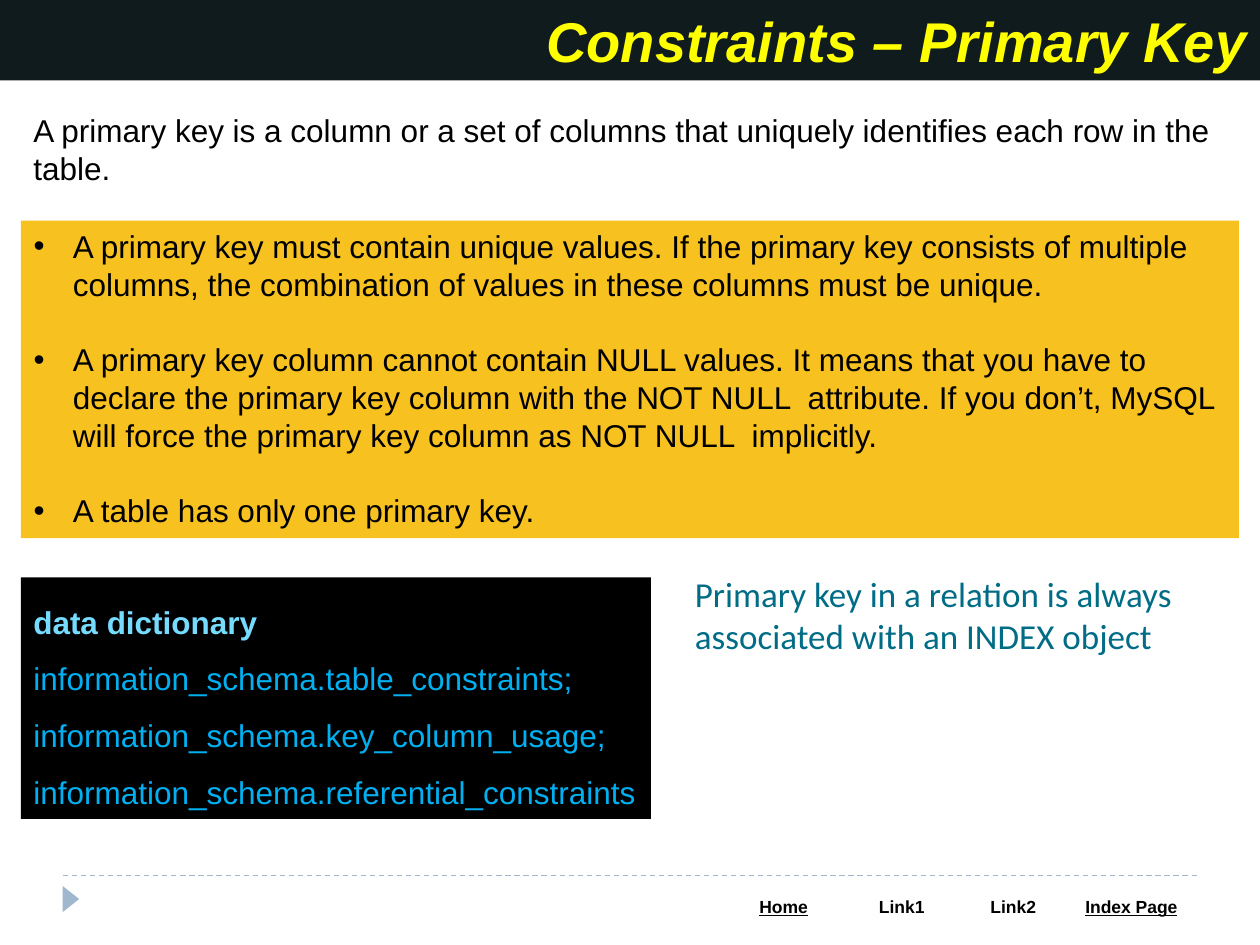
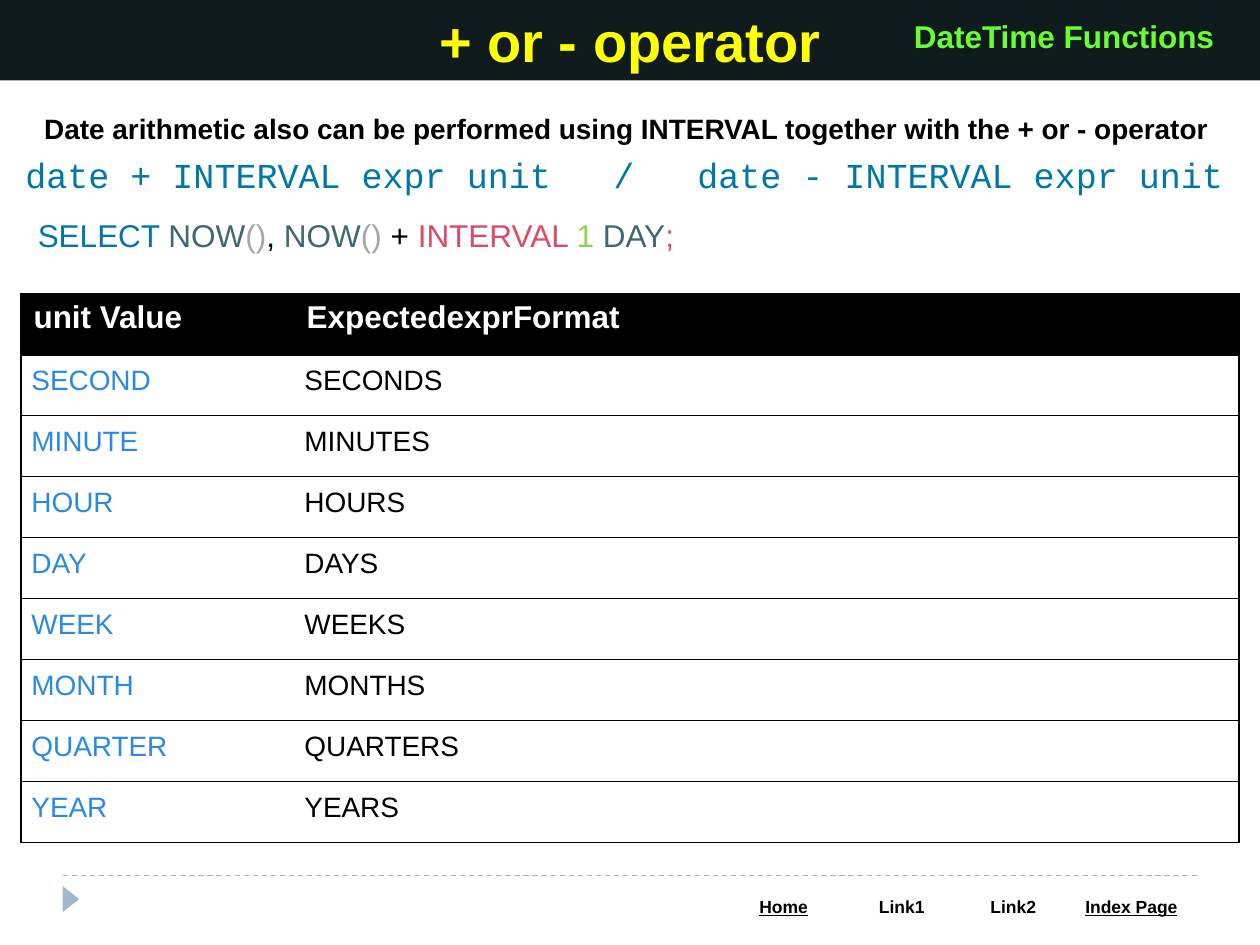
from pptx import Presentation
from pptx import util as u
from pptx.dml.color import RGBColor
from pptx.enum import dml, shapes, text
from pptx.oxml import parse_xml
from pptx.oxml.ns import nsdecls

Pt = u.Pt
LEFT, MID, RIGHT = text.PP_ALIGN.LEFT, text.PP_ALIGN.CENTER, text.PP_ALIGN.RIGHT
TOP, HALF = text.MSO_ANCHOR.TOP, text.MSO_ANCHOR.MIDDLE
PLAIN = "{2D5ABB26-0587-4C30-8999-92F81FD0307C}"
BLACK, WHITE, BAND, GOLD = "000000", "FFFFFF", "101B1D", "F7C120"
YELLOW, GREEN, STEEL = "FFFF00", "66FF33", "9FB8CD"
TEAL, SKY, PALE = "006C86", "00B0F0", "75DBFF"
BLUE, SLATE, GREY, RED, LIME = "0077AA", "3F6971", "A6A6A6", "DD4A68", "92D050"
UNIT = "298AE5"
EDGE, WIDE = 12, 696


def color(code):
    return RGBColor.from_string(code)


def node(tag, attrs="", inner=""):
    return parse_xml(f"<a:{tag} {nsdecls('a')} {attrs}>{inner}</a:{tag}>")


class Deck:
    def __init__(self):
        self.file = Presentation()
        self.file.slide_width, self.file.slide_height = Pt(720), Pt(540)
        self.slide = None

    def page(self, layout, title, align, italic=False):
        self.slide = self.file.slides.add_slide(self.file.slide_layouts[layout])
        band = self.slide.shapes.title
        self.place(band, 0, 0, 720, 46, BAND)
        self.words(band.text_frame, [[(title, YELLOW)]], size=32, bold=True,
                   italic=italic, align=align)
        self.footer()

    def place(self, shape, left, top, width, height, fill=None):
        shape.left, shape.top = Pt(left), Pt(top)
        shape.width, shape.height = Pt(width), Pt(height)
        if fill:
            shape.fill.solid()
            shape.fill.fore_color.rgb = color(fill)

    def words(self, frame, lines, size=18, face="Arial", bold=False, italic=False,
              align=LEFT, anchor=TOP, space=None, gap=0, bullet=False, tabs=()):
        frame.word_wrap = True
        frame.auto_size = text.MSO_AUTO_SIZE.NONE
        frame.vertical_anchor = anchor
        for i, runs in enumerate(lines):
            para = frame.add_paragraph() if i else frame.paragraphs[0]
            props = para._p.get_or_add_pPr()
            if bullet:
                props.set("marL", str(Pt(22.5)))
                props.set("indent", str(Pt(-22.5)))
                props.append(node("buFont", 'typeface="Arial"'))
                props.append(node("buChar", 'char="•"'))
            if tabs:
                stops = "".join(f'<a:tab pos="{Pt(t)}" algn="l"/>' for t in tabs)
                props.append(node("tabLst", inner=stops))
            para.alignment = align
            para.space_before = Pt(gap if i else 0)
            if space:
                para.line_spacing = space
            for label, tint, *rest in runs:
                run = para.add_run()
                run.text = label
                font = run.font
                font.name, font.size, font.italic = face, Pt(size), italic
                font.bold = rest[0] if rest else bold
                font.color.rgb = color(tint)

    def label(self, box, lines, **style):
        shape = self.slide.shapes.add_textbox(*map(Pt, box))
        self.words(shape.text_frame, lines, **style)

    def panel(self, box, fill, lines=(), kind=shapes.MSO_SHAPE.RECTANGLE,
              inset=(7.2, 3.6, 7.2, 3.6), **style):
        shape = self.slide.shapes.add_shape(kind, *map(Pt, box))
        shape.shadow.inherit = False
        shape.line.fill.background()
        self.place(shape, *box, fill)
        if lines:
            self.pad(shape.text_frame, inset)
            self.words(shape.text_frame, lines, **style)
        return shape

    def pad(self, part, inset):
        sides = map(Pt, inset)
        part.margin_left, part.margin_top, part.margin_right, part.margin_bottom = sides

    def list(self, box, fill, items, **style):
        body = self.slide.placeholders[1]
        self.place(body, *box, fill)
        self.words(body.text_frame, [[(item, BLACK)] for item in items],
                   bullet=True, **style)

    def rule(self, left, right, top):
        line = self.slide.shapes.add_connector(
            shapes.MSO_CONNECTOR.STRAIGHT, Pt(left), Pt(top), Pt(right), Pt(top))
        line.line.color.rgb = color(STEEL)
        line.line.width = Pt(0.75)
        line.line.dash_style = dml.MSO_LINE.DASH
        line._element.spPr.append(node("effectLst"))

    def grid(self, box, cols, rows):
        table = self.slide.shapes.add_table(rows, len(cols), *map(Pt, box)).table
        table._tbl.tblPr.find("{*}tableStyleId").text = PLAIN
        table.first_row = table.horz_banding = False
        for col, width in zip(table.columns, cols):
            col.width = Pt(width)
        for row in table.rows:
            row.height = Pt(box[3] / rows)
        return table

    def cell(self, cell, label, tint, fill, sides="", inset=None, **style):
        if inset:
            self.pad(cell, inset)
        self.words(cell.text_frame, [[(label, tint)]], **style)
        props = cell._tc.get_or_add_tcPr()
        ink = f'<a:solidFill><a:srgbClr val="{BLACK}"/></a:solidFill>'
        for side in sides:
            props.append(node(f"ln{side}", f'w="{Pt(0.75)}"', ink))
        cell.fill.solid()
        cell.fill.fore_color.rgb = color(fill)

    def footer(self):
        mark = self.panel((33, 509, 15, 9.5), STEEL,
                          kind=shapes.MSO_SHAPE.ISOSCELES_TRIANGLE)
        mark.rotation = 90
        self.rule(36, 684, 500.25)
        links = self.grid((414, 509.5, 270, 19.5), (67.5, 67.5, 60, 75), 1)
        for i, name in enumerate(("Home", "Link1", "Link2", "Index Page")):
            cell = links.cell(0, i)
            self.cell(cell, name, BLACK, WHITE, size=10, bold=True, align=MID)
            cell.text_frame.paragraphs[0].runs[0].font.underline = i in (0, 3)


def keys(deck):
    deck.page(1, "Constraints – Primary Key", RIGHT, italic=True)
    deck.list((EDGE, 126, WIDE, 181.5), GOLD, (
        "A primary key must contain unique values. If the primary key consists of "
        "multiple columns, the combination of values in these columns must be unique.",
        "A primary key column cannot contain NULL values. It means that you have to "
        "declare the primary key column with the NOT NULL  attribute. If you don’t, "
        "MySQL will force the primary key column as NOT NULL  implicitly.",
        "A table has only one primary key."), gap=21.6)
    deck.label((EDGE, 60, WIDE, 51), [[(
        "A primary key is a column or a set of columns that uniquely identifies "
        "each row in the table.", BLACK)]])
    views = ("table_constraints;", "key_column_usage;", "referential_constraints")
    deck.panel((EDGE, 330, 360, 138), BLACK,
               [[("data dictionary", PALE, True)]]
               + [[(f"information_schema.{view}", SKY)] for view in views], space=1.5)
    deck.label((390, 323.5, 318, 55.5), [[(
        "Primary key in a relation is always associated with an INDEX object", TEAL)]],
        size=20, face="Calibri")


def dates(deck):
    deck.page(5, "+ or - operator", MID)
    deck.label((513, 6, 188, 29), [[("DateTime Functions", GREEN)]],
               bold=True, align=RIGHT)
    deck.label((14.5, 60, 687, 26.5), [[(
        "Date arithmetic also can be performed using INTERVAL together with "
        "the + or - operator", BLACK)]], size=16, bold=True, align=MID)
    deck.panel((14.5, 88, 687, 36), WHITE, [[(
        "date + INTERVAL expr unit\t/\tdate - INTERVAL expr unit", BLUE)]],
        size=20, face="Courier New", anchor=HALF, inset=(0, 0, 0, 12), tabs=(336, 384))
    deck.label((14.5, 120, 687, 29), [[
        ("SELECT ", BLUE), ("NOW", SLATE), ("()", GREY), (", ", BLACK),
        ("NOW", SLATE), ("() ", GREY), ("+", BLACK), (" INTERVAL ", RED),
        ("1 ", LIME), ("DAY", SLATE), (";", RED)]])
    units = ("SECOND", "MINUTE", "HOUR", "DAY", "WEEK", "MONTH", "QUARTER", "YEAR")
    table = deck.grid((EDGE, 168, WIDE, 313.5), (156, 540), len(units) + 1)
    for i, head in enumerate(("unit Value", "ExpectedexprFormat")):
        deck.cell(table.cell(0, i), head, WHITE, BLACK, "LRTB", bold=True)
    for row, unit in enumerate(units, 1):
        pair = ((unit, UNIT, "LTB"), (unit + "S", BLACK, "RTB"))
        for i, (label, tint, sides) in enumerate(pair):
            deck.cell(table.cell(row, i), label, tint, WHITE, sides,
                      inset=(6, 6, 6, 6), size=16)


def main():
    deck = Deck()
    keys(deck)
    dates(deck)
    deck.file.save("out.pptx")


if __name__ == "__main__":
    main()
